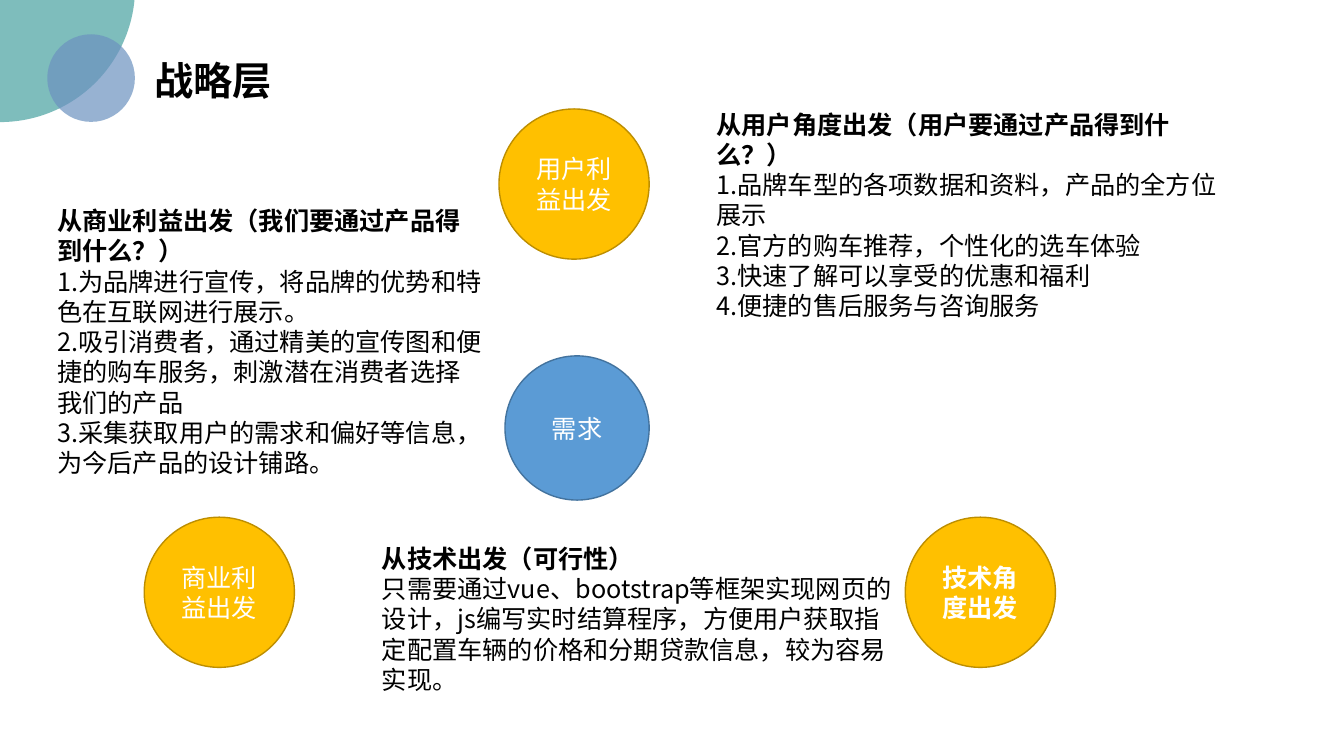
from pptx import Presentation
from pptx import util as u
from pptx.dml import color
from pptx.enum import shapes, text
from pptx.oxml import xmlchemy as xc
from pptx.oxml.ns import qn
from lxml import etree

THEME = {
    "font": "Noto Sans CJK SC", "head": 28, "body": 18, "lead": 1.2,
    "ink": "000000", "pale": "FFFFFF", "teal": "48A2A0", "mist": "6C92C0",
    "gold": ("FFC000", "BD8E00"), "blue": ("5B9BD5", "43739E"),
}
DISCS = [("teal", -96.5, -105.8, 193), ("mist", 33.8, 24.5, 62.6)]
TITLE = ("战略层", (103, 36.7, 99.4, 41))
ROUND = 107.3
ROW = 369.4
NODES = [
    ("需求", "blue", 360.7, 254.2, 103, False),
    ("商业利益出发", "gold", 103, ROW, ROUND, False),
    ("用户利益出发", "gold", 356.4, 77.8, ROUND, False),
    ("技术角度出发", "gold", 646.6, ROW, ROUND, True),
]
NOTES = [
    ((33.8, 143.3, 318.2, 203.8), [
        "从商业利益出发（我们要通过产品得到什么？）",
        "1.为品牌进行宣传，将品牌的优势和特色在互联网进行展示。",
        "2.吸引消费者，通过精美的宣传图和便捷的购车服务，刺激潜在消费者选择我们的产品",
        "3.采集获取用户的需求和偏好等信息，为今后产品的设计铺路。",
    ]),
    ((504.7, 74.2, 380.9, 138.2), [
        "从用户角度出发（用户要通过产品得到什么？）",
        "1.品牌车型的各项数据和资料，产品的全方位展示",
        "2.官方的购车推荐，个性化的选车体验",
        "3.快速了解可以享受的优惠和福利",
        "4.便捷的售后服务与咨询服务",
    ]),
    ((265.7, 384.5, 380.9, 116.6), [
        "从技术出发（可行性）",
        "只需要通过vue、bootstrap等框架实现网页的设计，js编写实时结算程序，"
        "方便用户获取指定配置车辆的价格和分期贷款信息，较为容易实现。",
    ]),
]

deck = Presentation()
deck.slide_width, deck.slide_height = u.Pt(960), u.Pt(540)
page = deck.slides.add_slide(deck.slide_layouts[6])


def rgb(code):
    return color.RGBColor.from_string(code)


def write(para, words, size, ink, bold):
    para.line_spacing = u.Pt(size * THEME["lead"])
    run = para.add_run()
    run.text = words
    font = run.font
    font.name, font.size, font.bold = THEME["font"], u.Pt(size), bold
    font.color.rgb = rgb(THEME[ink])
    east = etree.SubElement(run._r.get_or_add_rPr(), qn("a:ea"))
    east.set("typeface", THEME["font"])


def add_disc(left, top, size, fill):
    disc = page.shapes.add_shape(
        shapes.MSO_SHAPE.OVAL, *map(u.Pt, (left, top, size, size)))
    disc.shadow.inherit = False
    disc.fill.solid()
    disc.fill.fore_color.rgb = rgb(fill)
    return disc


def add_text(area, lines, size, wrap):
    box = page.shapes.add_textbox(*map(u.Pt, area))
    frame = box.text_frame
    frame.word_wrap = wrap
    frame.auto_size = text.MSO_AUTO_SIZE.SHAPE_TO_FIT_TEXT
    for i, words in enumerate(lines):
        para = frame.add_paragraph() if i else frame.paragraphs[0]
        write(para, words, size, "ink", i == 0)


for tint, left, top, size in DISCS:
    disc = add_disc(left, top, size, THEME[tint])
    disc.line.fill.background()
    shade = disc.fill._xPr.find(qn("a:solidFill"))[0]
    etree.SubElement(shade, qn("a:alpha")).set("val", "70000")

add_text(TITLE[1], [TITLE[0]], THEME["head"], False)

for words, tint, left, top, size, bold in NODES:
    fill, edge = THEME[tint]
    disc = add_disc(left, top, size, fill)
    disc.line.color.rgb = rgb(edge)
    disc.line.width = u.Pt(1)
    frame = disc.text_frame
    frame.word_wrap = True
    frame.vertical_anchor = text.MSO_ANCHOR.MIDDLE
    para = frame.paragraphs[0]
    para.alignment = text.PP_ALIGN.CENTER
    write(para, words, THEME["body"], "pale", bold)

for area, lines in NOTES:
    add_text(area, lines, THEME["body"], True)

deck.save("out.pptx")
